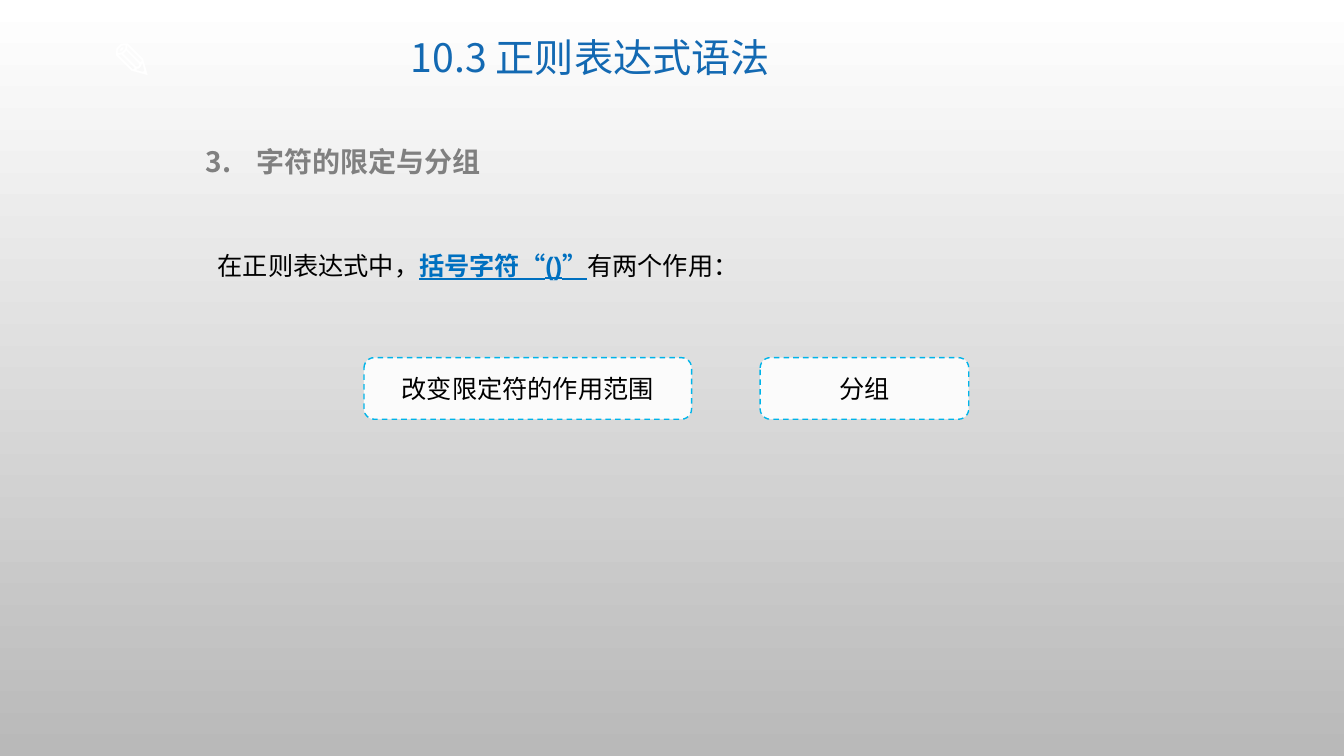
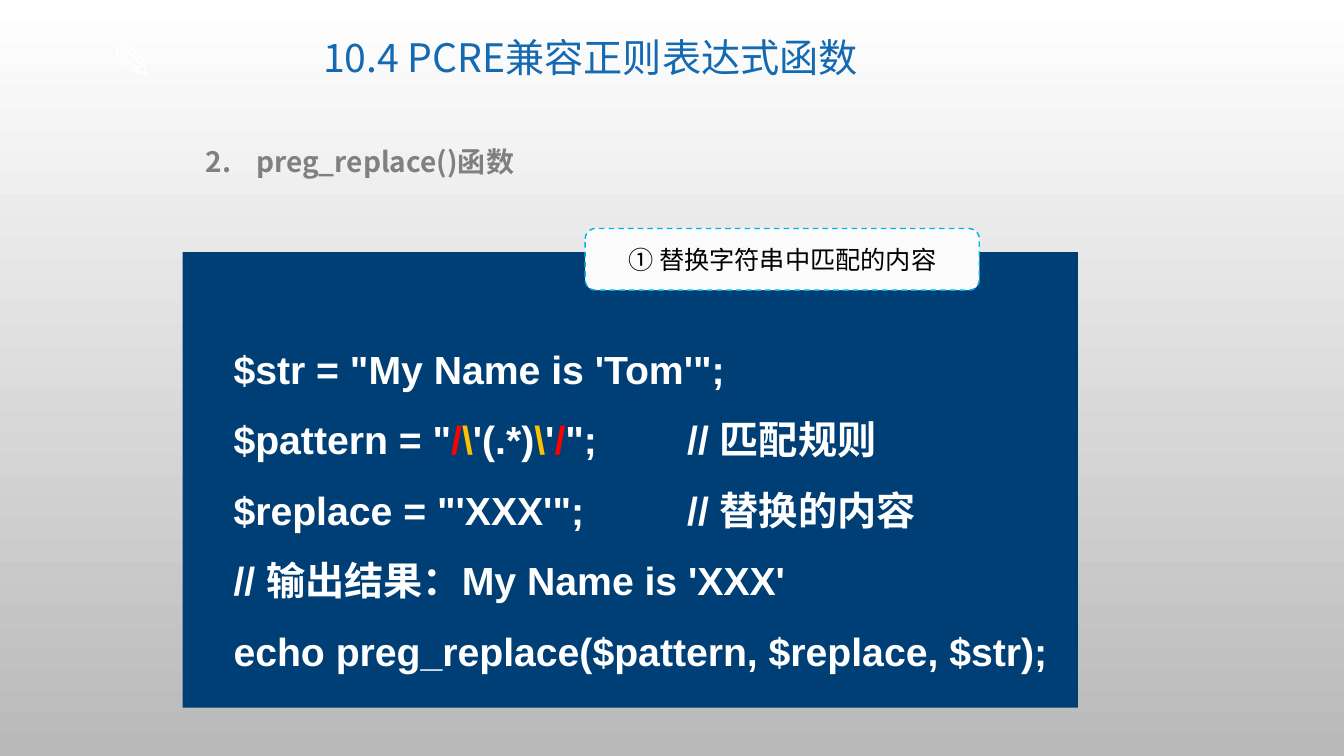
import pptx
import pptx.dml.color
import pptx.enum.dml
import pptx.enum.shapes
import pptx.enum.text
import pptx.oxml.ns
import pptx.util
from lxml import etree

Pt = pptx.util.Pt
RGBColor = pptx.dml.color.RGBColor
Align = pptx.enum.text.PP_ALIGN
Anchor = pptx.enum.text.MSO_ANCHOR
AutoSize = pptx.enum.text.MSO_AUTO_SIZE
Preset = pptx.enum.shapes.MSO_SHAPE
qn = pptx.oxml.ns.qn

WHITE = RGBColor(0xFF, 0xFF, 0xFF)
BLACK = RGBColor(0, 0, 0)
BACKGROUND_END = RGBColor(0xB9, 0xB9, 0xB9)
TITLE_BLUE = RGBColor(0x13, 0x69, 0xB2)
HEADING_GRAY = RGBColor(0x80, 0x80, 0x80)
KEY_BLUE = RGBColor(0x00, 0x70, 0xC0)
LABEL_FILL = RGBColor(0xFB, 0xFB, 0xFB)
LABEL_LINE = RGBColor(0x00, 0xB4, 0xE9)
CODE_FILL = RGBColor(0x00, 0x3F, 0x75)
DELIMITER_RED = RGBColor(0xFF, 0, 0)
ESCAPE_YELLOW = RGBColor(0xFF, 0xC0, 0)

CJK_FONT = "Noto Sans CJK SC"
CODE_TAB_STOPS = (252, 288, 324)


def style(paragraph, size, color, name=CJK_FONT, bold=False):
    font = paragraph.font
    font.size = Pt(size)
    font.bold = bold
    font.name = name
    font.color.rgb = color
    defaults = paragraph._p.get_or_add_pPr().find(qn("a:defRPr"))
    etree.SubElement(defaults, qn("a:ea"), typeface=CJK_FONT)


def add_spans(paragraph, spans):
    """Add (text, color) pairs; a color of None keeps the paragraph's color."""
    for text, color in spans:
        span = paragraph.add_run()
        span.text = text
        if color is not None:
            span.font.color.rgb = color


def add_text_box(page, left, top, width, height, wrap=True):
    box = page.shapes.add_textbox(Pt(left), Pt(top), Pt(width), Pt(height))
    box.text_frame.word_wrap = wrap
    box.text_frame.auto_size = AutoSize.SHAPE_TO_FIT_TEXT
    return box.text_frame


def add_panel(page, preset, left, top, width, height, fill):
    panel = page.shapes.add_shape(preset, Pt(left), Pt(top), Pt(width), Pt(height))
    panel.shadow.inherit = False
    panel.fill.solid()
    panel.fill.fore_color.rgb = fill
    panel.line.fill.background()
    return panel


def add_label(page, left, top, width, text):
    label = add_panel(page, Preset.ROUNDED_RECTANGLE, left, top, width, 44, LABEL_FILL)
    label.line.color.rgb = LABEL_LINE
    label.line.width = Pt(1)
    label.line.dash_style = pptx.enum.dml.MSO_LINE.DASH
    label.text_frame.vertical_anchor = Anchor.MIDDLE
    paragraph = label.text_frame.paragraphs[0]
    paragraph.text = text
    paragraph.alignment = Align.CENTER
    style(paragraph, 18, BLACK, "Calibri")


def add_title(page, text):
    frame = add_text_box(page, 174, 12, 495.5, 61)
    frame.auto_size = AutoSize.NONE
    frame.vertical_anchor = Anchor.MIDDLE
    paragraph = frame.paragraphs[0]
    paragraph.text = text
    paragraph.alignment = Align.CENTER
    paragraph.line_spacing = 0.9
    style(paragraph, 28, TITLE_BLUE)


def add_heading(page, number, text):
    paragraph = add_text_box(page, 140, 100, 664, 31.5).paragraphs[0]
    paragraph.text = text
    properties = paragraph._p.get_or_add_pPr()
    properties.set("marL", str(Pt(36)))
    properties.set("indent", str(-Pt(36)))
    etree.SubElement(properties, qn("a:buFont"), typeface="+mj-lt")
    etree.SubElement(properties, qn("a:buAutoNum"), type="arabicPeriod", startAt=str(number))
    style(paragraph, 20, HEADING_GRAY, bold=True)


def add_code(page, lines):
    add_panel(page, Preset.RECTANGLE, 130.5, 180, 639.5, 325.5, CODE_FILL)
    frame = add_text_box(page, 159.75, 226, 626.5, 255.5)
    for index, spans in enumerate(lines):
        paragraph = frame.add_paragraph() if index else frame.paragraphs[0]
        paragraph.line_spacing = 1.5
        stops = etree.SubElement(paragraph._p.get_or_add_pPr(), qn("a:tabLst"))
        for position in CODE_TAB_STOPS:
            etree.SubElement(stops, qn("a:tab"), pos=str(Pt(position)), algn="l")
        style(paragraph, 28, WHITE, "Arial", bold=True)
        add_spans(paragraph, spans)


def add_page(deck, title, number, heading):
    page = deck.slides.add_slide(deck.slide_layouts[6])
    pencil = add_text_box(page, 72.5, 17, 62, 51, wrap=False).paragraphs[0]
    pencil.text = "✎"
    style(pencil, 36, WHITE, bold=True)
    add_title(page, title)
    add_heading(page, number, heading)
    return page


def set_background(master):
    fill = master.background.fill
    fill.gradient()
    fill.gradient_angle = 270
    for stop, color in zip(fill.gradient_stops, (WHITE, BACKGROUND_END)):
        stop.color.rgb = color
    for stop, position in zip(fill.gradient_stops, (0, 1)):
        stop.position = position


def build_grouping_page(deck):
    page = add_page(deck, "10.3 正则表达式语法", 3, "字符的限定与分组")
    paragraph = add_text_box(page, 148.5, 153.5, 661.5, 44).paragraphs[0]
    paragraph.line_spacing = 2
    style(paragraph, 18, BLACK, "Arial")
    add_spans(paragraph, [("在正则表达式中，", None), ("括号字符“()”", KEY_BLUE), ("有两个作用：", None)])
    key_term = paragraph.runs[1].font
    key_term.bold = True
    key_term.underline = True
    add_label(page, 260, 255.5, 234, "改变限定符的作用范围")
    add_label(page, 543, 255.5, 149, "分组")


def build_replace_page(deck):
    page = add_page(deck, "10.4 PCRE兼容正则表达式函数", 2, "preg_replace()函数")
    add_code(page, [
        [("$str = \"My Name is 'Tom'\";", None)],
        [("$pattern = \"", None), ("/", DELIMITER_RED), ("\\", ESCAPE_YELLOW), ("'(.*)", None),
         ("\\", ESCAPE_YELLOW), ("'", None), ("/", DELIMITER_RED), ("\";\t\t// 匹配规则", None)],
        [("$replace = \"'XXX'\";\t\t\t// 替换的内容", None)],
        [("// 输出结果：My Name is 'XXX'", None)],
        [("echo preg_replace($pattern, $replace, $str);", None)],
    ])
    add_label(page, 418, 163.25, 281.5, "① 替换字符串中匹配的内容")


def main():
    deck = pptx.Presentation()
    deck.slide_width = Pt(960)
    deck.slide_height = Pt(540)
    set_background(deck.slide_master)
    build_grouping_page(deck)
    build_replace_page(deck)
    deck.save("out.pptx")


if __name__ == "__main__":
    main()
